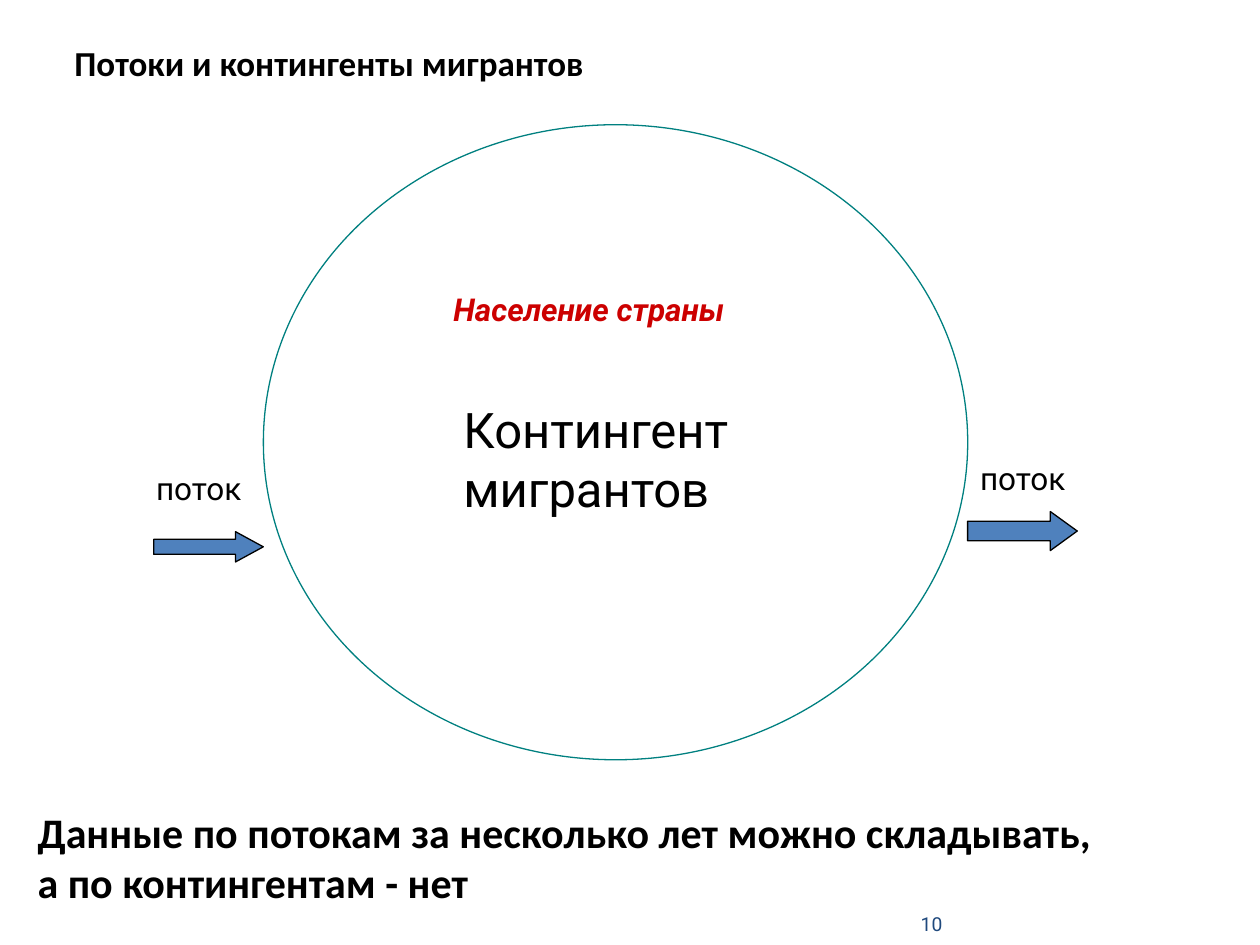
"""Build the slide on migrant flows and stocks."""
from dataclasses import dataclass

from pptx import Presentation
from pptx.dml.color import RGBColor
from pptx.enum import shapes, text
from pptx.util import Inches, Pt


@dataclass(frozen=True)
class Theme:
    black: str = "000000"
    red: str = "CC0000"
    teal: str = "008080"
    blue: str = "4F81BD"
    navy: str = "1F497D"
    heading_font: str = "Calibri"
    body_font: str = "Roboto"
    number_size: int = 11
    label_size: int = 18
    title_size: int = 20
    conclusion_size: int = 24
    center_size: int = 28
    line_width: float = 0.75


theme = Theme()


def write(shape, lines, font_name, size, color=theme.black, bold=False, italic=False,
          alignment=text.PP_ALIGN.LEFT, anchor=text.MSO_ANCHOR.TOP):
    frame = shape.text_frame
    frame.text = lines
    frame.word_wrap = True
    frame.auto_size = text.MSO_AUTO_SIZE.NONE
    frame.vertical_anchor = anchor
    for paragraph in frame.paragraphs:
        paragraph.alignment = alignment
        for run in paragraph.runs:
            run.font.name = font_name
            run.font.size = Pt(size)
            run.font.bold = bold
            run.font.italic = italic
            run.font.color.rgb = RGBColor.from_string(color)


def add_outlined(kind, box, line_color):
    shape = slide.shapes.add_shape(kind, *map(Inches, box))
    shape.shadow.inherit = False
    shape.line.color.rgb = RGBColor.from_string(line_color)
    shape.line.width = Pt(theme.line_width)
    return shape


presentation = Presentation()
presentation.slide_width = Inches(10)
presentation.slide_height = Inches(7.5)
slide = presentation.slides.add_slide(presentation.slide_layouts[5])

title = slide.shapes.title
title.left, title.top, title.width, title.height = map(Inches, (0.49, 0.28, 4.81, 0.43))
write(title, "Потоки и контингенты мигрантов", theme.heading_font, theme.title_size, bold=True)
title.text_frame.word_wrap = False

population = add_outlined(shapes.MSO_SHAPE.OVAL, (2.09, 0.99, 5.59, 5.04), theme.teal)
population.fill.background()

flows = [
    ((1.22, 4.22, 0.87, 0.24), 0.917, (1.14, 3.67, 0.95, 0.4)),
    ((7.68, 4.06, 0.87, 0.31), 0.689, (7.68, 3.59, 0.95, 0.4)),
]
for arrow_box, head_length, label_box in flows:
    arrow = add_outlined(shapes.MSO_SHAPE.RIGHT_ARROW, arrow_box, theme.black)
    arrow.fill.solid()
    arrow.fill.fore_color.rgb = RGBColor.from_string(theme.blue)
    arrow.adjustments[1] = head_length
    label = slide.shapes.add_textbox(*map(Inches, label_box))
    write(label, "поток", theme.body_font, theme.label_size)

migrants = slide.shapes.add_textbox(*map(Inches, (3.58, 3.12, 2.52, 1.03)))
write(migrants, "Контингент мигрантов", theme.body_font, theme.center_size)

country = slide.shapes.add_textbox(*map(Inches, (3.5, 2.25, 3.55, 0.4)))
write(country, "Население страны", theme.body_font, theme.label_size, theme.red,
      bold=True, italic=True)

conclusion = slide.shapes.add_textbox(*map(Inches, (0.2, 6.35, 9.8, 0.91)))
write(conclusion, "Данные по потокам за несколько лет можно складывать,\nа по контингентам - нет",
      theme.heading_font, theme.conclusion_size, bold=True)

number = slide.shapes.add_textbox(*map(Inches, (6.84, 7.17, 0.64, 0.25)))
write(number, "10", theme.body_font, theme.number_size, theme.navy,
      alignment=text.PP_ALIGN.RIGHT, anchor=text.MSO_ANCHOR.BOTTOM)
frame = number.text_frame
frame.margin_left = frame.margin_top = frame.margin_right = frame.margin_bottom = Inches(0)

presentation.save("out.pptx")
